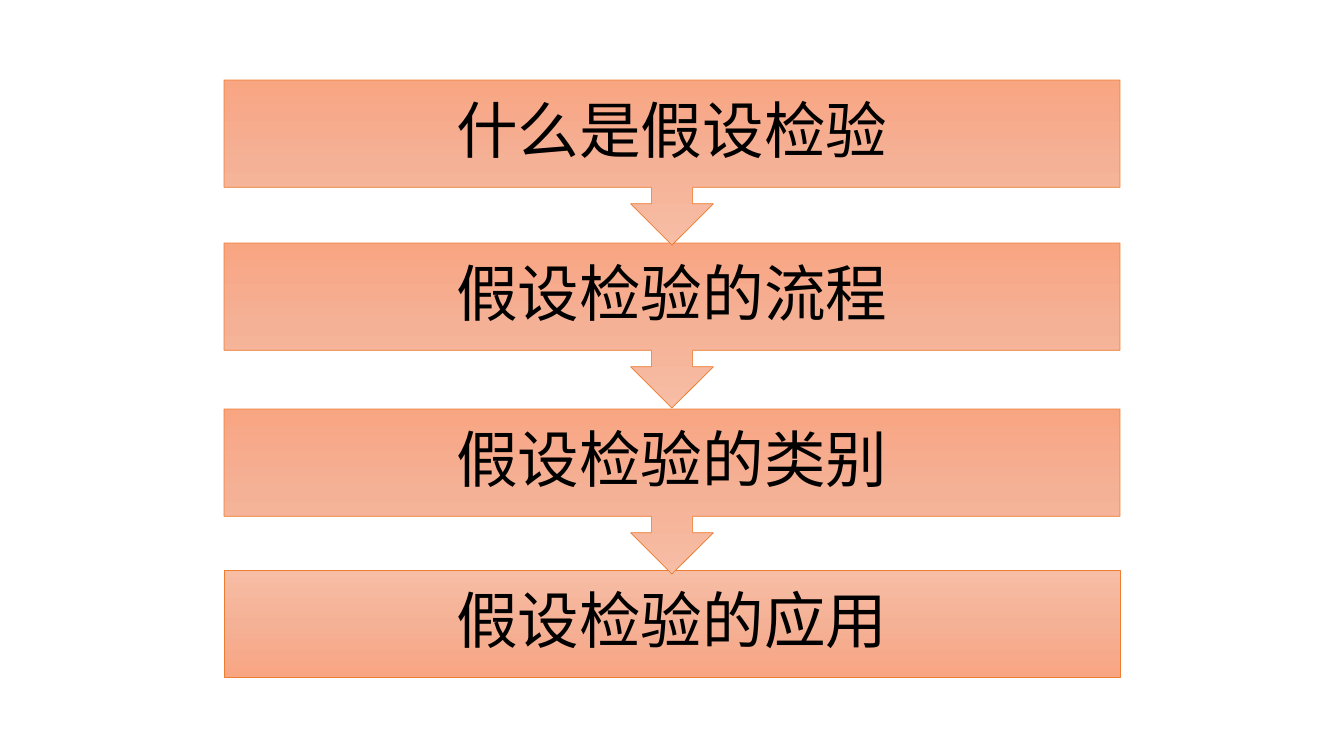
"""Build a slide with four topic steps linked by downward callouts."""
from copy import deepcopy

from lxml import etree
from pptx import Presentation
from pptx.dml.color import RGBColor
from pptx.enum.shapes import MSO_SHAPE
from pptx.enum.text import MSO_ANCHOR, PP_ALIGN
from pptx.oxml.ns import qn
from pptx.util import Inches, Pt

RECT, CALLOUT = MSO_SHAPE.RECTANGLE, MSO_SHAPE.UP_ARROW_CALLOUT
MIDDLE, CENTER = MSO_ANCHOR.MIDDLE, PP_ALIGN.CENTER

STEPS = [
    ("什么是假设检验", 80),
    ("假设检验的流程", 243),
    ("假设检验的类别", 409),
    ("假设检验的应用", 570),
]
LEFT, WIDTH, BAR_HEIGHT, CALLOUT_HEIGHT, INSET = 224, 896, 107, 165, 34
GRADIENT = [(0, "F7BDA5"), (0.5, "F5B196"), (1, "F8A582")]
LINE, INK = "ED7D31", "000000"
FONT = "Noto Sans CJK SC"


def px(n):
    return round(n * Inches(1) / 100.8)


def rgb(value):
    return RGBColor.from_string(value)


def add_bar(s, top, is_last):
    kind, height = (RECT, BAR_HEIGHT) if is_last else (CALLOUT, CALLOUT_HEIGHT)
    sp = s.shapes.add_shape(kind, px(LEFT), px(top), px(WIDTH), px(height))
    sp.rotation = 0 if is_last else 180
    sp.shadow.inherit = False
    sp.line.color.rgb = rgb(LINE)
    sp.line.width = Pt(0.5)
    sp.fill.gradient()
    sp.fill.gradient_angle = 270
    stops = sp._element.spPr.find(".//" + qn("a:gsLst"))
    stops.append(deepcopy(stops[0]))
    for stop, (position, color) in zip(sp.fill.gradient_stops, GRADIENT):
        stop.position = position
        stop.color.rgb = rgb(color)


def add_label(s, text, top):
    sp = s.shapes.add_textbox(px(LEFT), px(top), px(WIDTH), px(BAR_HEIGHT))
    tf = sp.text_frame
    tf.text = text
    tf.word_wrap = True
    tf.vertical_anchor = MIDDLE
    tf.margin_left = tf.margin_right = tf.margin_top = tf.margin_bottom = px(INSET)
    p = tf.paragraphs[0]
    p.alignment = CENTER
    p.line_spacing = 0.9
    p.space_after = Pt(15)
    r = p.runs[0]
    r.font.size = Pt(44)
    r.font.name = FONT
    r.font.color.rgb = rgb(INK)
    latin = r.font._element.find(qn("a:latin"))
    ea = etree.Element(qn("a:ea"), typeface=FONT)
    latin.addnext(ea)


prs = Presentation()
prs.slide_width, prs.slide_height = px(1344), px(756)
s = prs.slides.add_slide(prs.slide_layouts[6])
for text, top in reversed(STEPS):
    add_bar(s, top, text == STEPS[-1][0])
    add_label(s, text, top)
prs.save("out.pptx")
